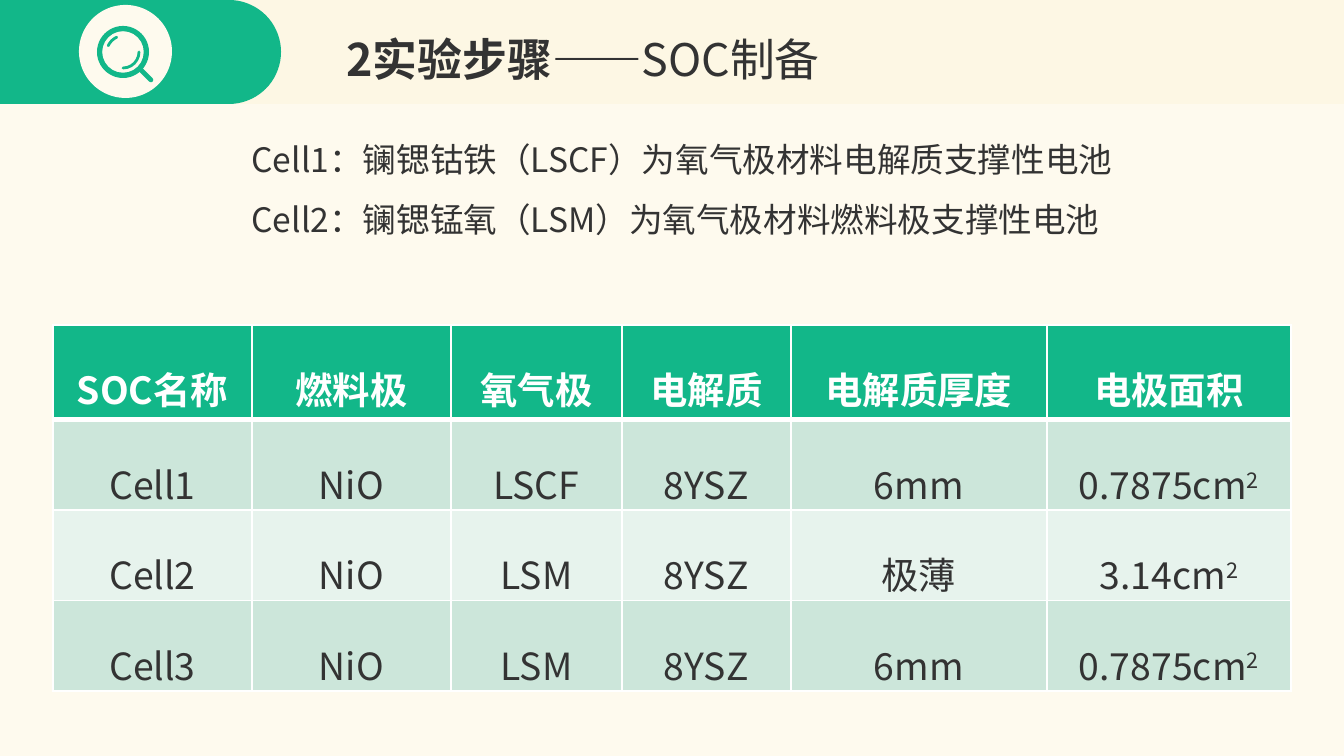
"""Builds the SOC preparation slide with its cell comparison table."""
import math
from dataclasses import dataclass

from lxml.etree import SubElement
from pptx import Presentation
from pptx.dml.color import RGBColor
from pptx.enum.shapes import MSO_CONNECTOR, MSO_SHAPE
from pptx.enum.text import MSO_ANCHOR, MSO_AUTO_SIZE, PP_ALIGN
from pptx.oxml.ns import qn
from pptx.util import Emu, Pt

LEFT, CENTER = PP_ALIGN.LEFT, PP_ALIGN.CENTER
TOP = MSO_ANCHOR.TOP
NO_AUTOFIT = MSO_AUTO_SIZE.NONE
RECTANGLE, OVAL = MSO_SHAPE.RECTANGLE, MSO_SHAPE.OVAL
DONUT, ARC = MSO_SHAPE.DONUT, MSO_SHAPE.ARC
STRAIGHT = MSO_CONNECTOR.STRAIGHT


@dataclass(frozen=True)
class Theme:
    font: str = "Noto Sans CJK SC"
    cream: str = "FEFAEE"
    sand: str = "FBECC0"
    green: str = "12B789"
    mint: str = "CCE6DA"
    pale_mint: str = "E7F3ED"
    ink: str = "333333"
    white: str = "FFFFFF"
    title_size: int = 24
    list_size: int = 18
    table_size: int = 20


THEME = Theme()
EMU_PER_PX = 914400 / 134.4


def px(*lengths):
    return [Emu(round(length * EMU_PER_PX)) for length in lengths]


def write(paragraph, text, size, color=THEME.ink, bold=False, align=LEFT,
          spacing=1.0, superscript=False):
    paragraph.alignment = align
    paragraph.line_spacing = spacing
    paragraph.space_before = Pt(0)
    run = paragraph.add_run()
    run.text = text
    run.font.size = Pt(size)
    run.font.bold = bold
    run.font.color.rgb = RGBColor.from_string(color)
    run.font.name = THEME.font
    properties = run.font._element
    SubElement(properties, qn("a:ea"), typeface=THEME.font)
    if superscript:
        properties.set("baseline", "30000")


prs = Presentation()
prs.slide_width, prs.slide_height = px(1344, 756)
slide = prs.slides.add_slide(prs.slide_layouts[1])
slide.background.fill.solid()
slide.background.fill.fore_color.rgb = RGBColor.from_string(THEME.cream)
shapes = slide.shapes

title, cell_list = slide.placeholders
for holder, bounds in ((title, (333, 25, 571, 67)),
                       (cell_list, (238, 112, 910, 190))):
    holder.left, holder.top, holder.width, holder.height = px(*bounds)
    holder.text_frame.word_wrap = True
    holder.text_frame.auto_size = NO_AUTOFIT
    holder.text_frame.vertical_anchor = TOP

heading = title.text_frame.paragraphs[0]
write(heading, "2实验步骤——", THEME.title_size, bold=True)
write(heading, "SOC制备", THEME.title_size)

descriptions = (
    "Cell1：镧锶钴铁（LSCF）为氧气极材料电解质支撑性电池",
    "Cell2：镧锶锰氧（LSM）为氧气极材料燃料极支撑性电池",
)
for index, description in enumerate(descriptions):
    frame = cell_list.text_frame
    item = frame.add_paragraph() if index else frame.paragraphs[0]
    write(item, description, THEME.list_size, spacing=1.5)
    item_properties = item._p.get_or_add_pPr()
    item_properties.set("marL", "0")
    item_properties.set("indent", "0")
    SubElement(item_properties, qn("a:buNone"))

rows = (
    ("SOC名称", "燃料极", "氧气极", "电解质", "电解质厚度", "电极面积"),
    ("Cell1", "NiO", "LSCF", "8YSZ", "6mm", "0.7875cm^2"),
    ("Cell2", "NiO", "LSM", "8YSZ", "极薄", "3.14cm^2"),
    ("Cell3", "NiO", "LSM", "8YSZ", "6mm", "0.7875cm^2"),
)
column_widths = px(199, 199, 171, 169, 256, 244)
row_heights = px(95, 90, 90, 90)
comparison = shapes.add_table(
    len(rows), len(column_widths), *px(53, 325, 1238, 365)).table
for column, width in zip(comparison.columns, column_widths):
    column.width = width
for row, height in zip(comparison.rows, row_heights):
    row.height = height

row_fills = (THEME.green, THEME.mint, THEME.pale_mint, THEME.mint)
for r, (values, row_fill) in enumerate(zip(rows, row_fills)):
    header = r == 0
    border_widths = {"L": 1, "R": 1, "T": 3 if r == 1 else 1,
                     "B": 3 if header else 1}
    for c, value in enumerate(values):
        cell = comparison.cell(r, c)
        cell.margin_left, cell.margin_top = px(17, 9)
        cell.margin_right, cell.margin_bottom = px(17, 0)
        for side, weight in border_widths.items():
            border = SubElement(cell._tc.get_or_add_tcPr(),
                                qn(f"a:ln{side}"), w=str(Pt(weight)))
            border_fill = SubElement(border, qn("a:solidFill"))
            SubElement(border_fill, qn("a:srgbClr"), val=THEME.white)
        cell.fill.solid()
        cell.fill.fore_color.rgb = RGBColor.from_string(row_fill)
        base, _, exponent = value.partition("^")
        style = dict(size=THEME.table_size, bold=header, align=CENTER,
                     color=THEME.white if header else THEME.ink, spacing=1.5)
        paragraph = cell.text_frame.paragraphs[0]
        write(paragraph, base, **style)
        if exponent:
            write(paragraph, exponent, superscript=True, **style)

band = shapes.add_shape(RECTANGLE, *px(0, 0, 1344, 104))
shapes._spTree.insert(2, band._element)

radius, tab_center = 52, 229
tab_edge = [
    px(tab_center + radius * math.cos(math.radians(angle)),
       radius + radius * math.sin(math.radians(angle)))
    for angle in range(-90, 91, 5)
]
tab_builder = shapes.build_freeform(0, 0)
tab_builder.add_line_segments([*tab_edge, px(0, 2 * radius)], close=True)
tab = tab_builder.convert_to_shape()

badge = shapes.add_shape(OVAL, *px(79, 5, 93, 93))
lens = shapes.add_shape(DONUT, *px(97, 26, 52, 52))
lens.adjustments[0] = 0.1
for part, color in ((band, THEME.sand), (tab, THEME.green),
                    (badge, THEME.cream), (lens, THEME.green)):
    part.shadow.inherit = False
    part.fill.solid()
    part.fill.fore_color.rgb = RGBColor.from_string(color)
    part.line.fill.background()
band_color = band._element.spPr.find(qn("a:solidFill"))[0]
SubElement(band_color, qn("a:alpha"), val="20000")

strokes = []
for start, end in ((0, 90), (203, 247)):
    glint = shapes.add_shape(ARC, *px(107, 36, 32, 32))
    glint.adjustments[0] = start * 0.6
    glint.adjustments[1] = end * 0.6
    glint.shadow.inherit = False
    glint.fill.background()
    strokes.append((glint, 1.5))
handle = shapes.add_connector(STRAIGHT, *px(140, 69, 151, 80))
SubElement(handle._element.spPr, qn("a:effectLst"))
strokes.append((handle, 2.5))
for stroke, weight in strokes:
    stroke.line.color.rgb = RGBColor.from_string(THEME.green)
    stroke.line.width = Pt(weight)
    stroke._element.spPr.find(qn("a:ln")).set("cap", "rnd")

prs.save("out.pptx")
